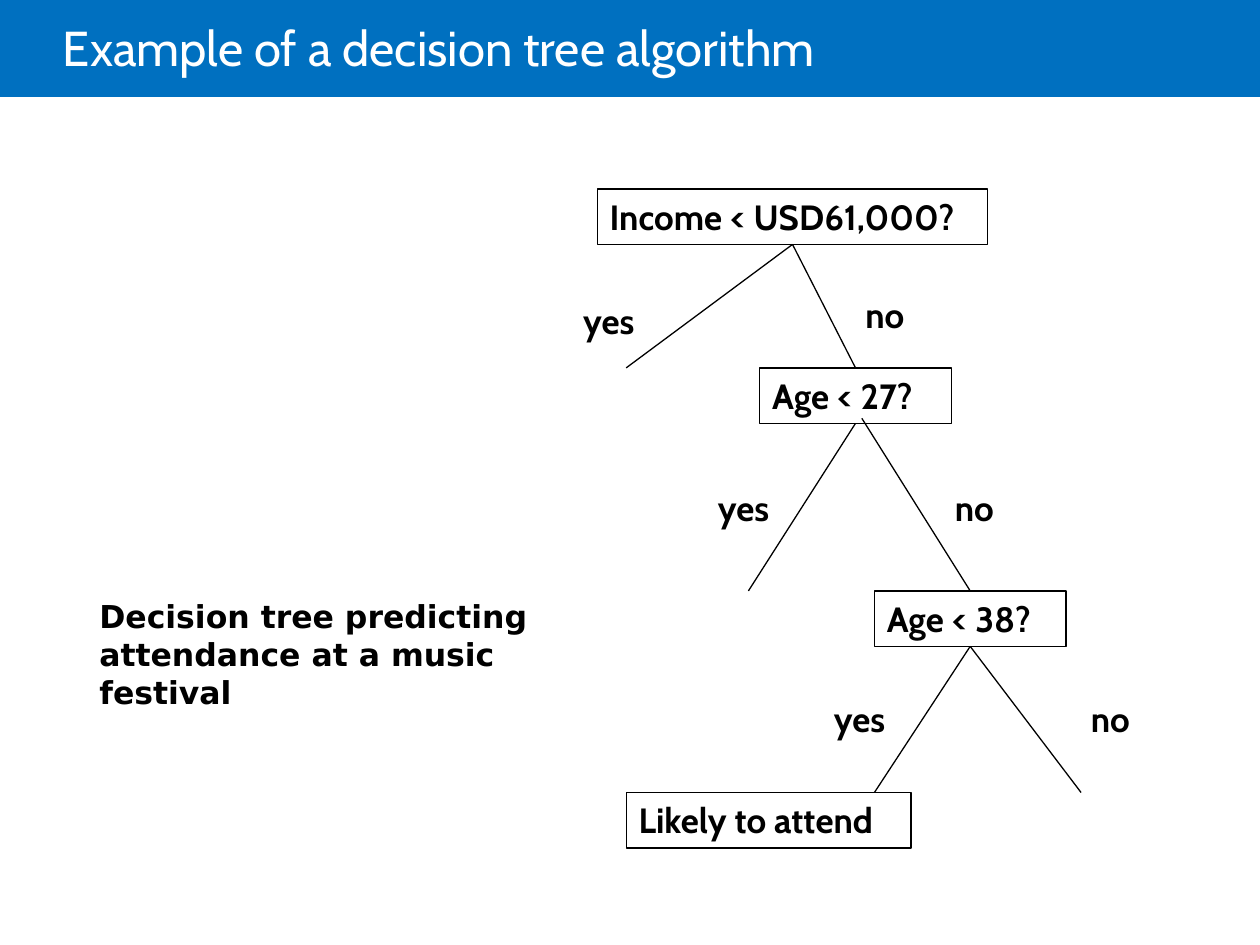
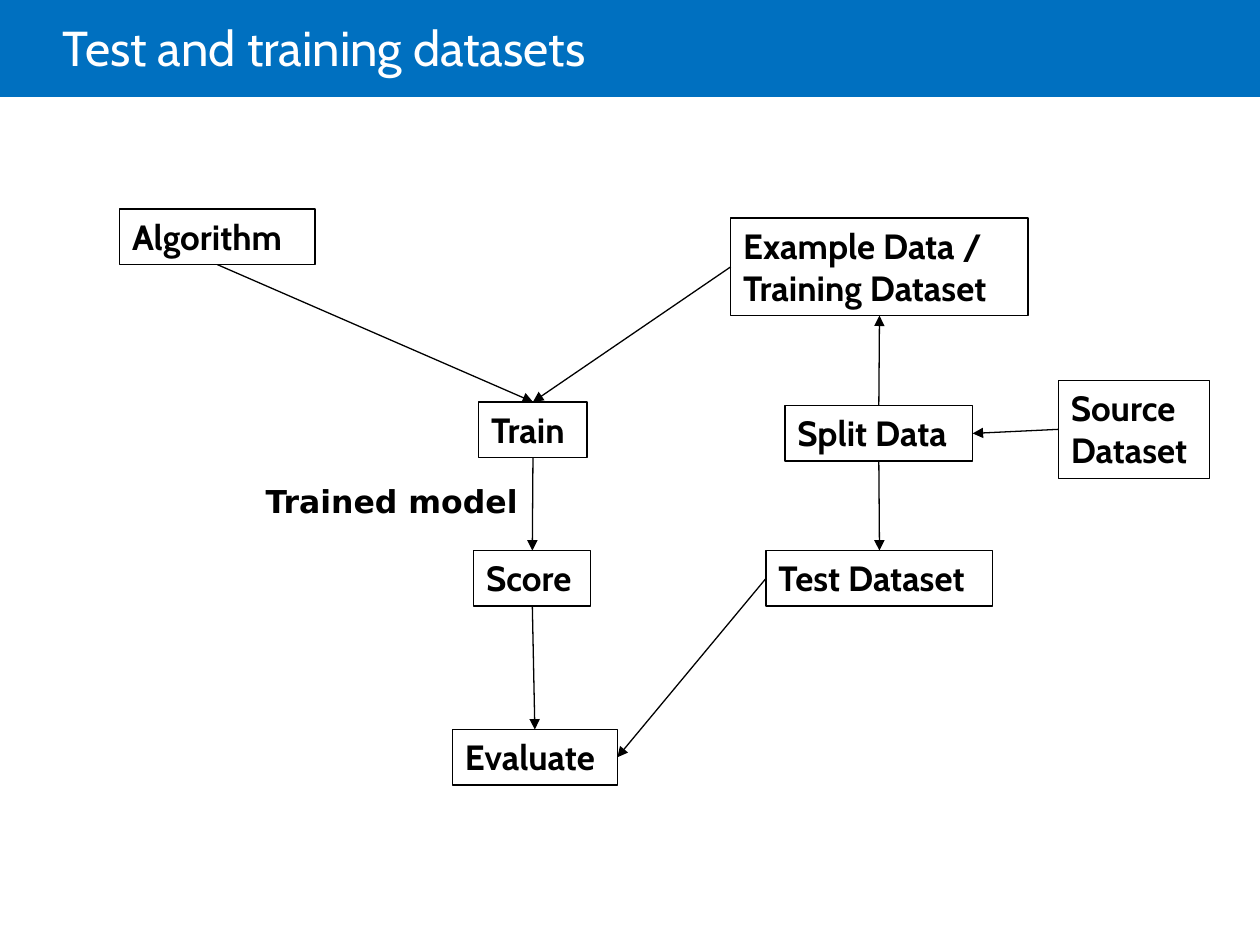
from lxml.etree import SubElement
from pptx import Presentation
from pptx.dml.color import RGBColor
from pptx.enum.shapes import MSO_CONNECTOR, MSO_SHAPE
from pptx.enum.text import MSO_ANCHOR, PP_ALIGN
from pptx.oxml.ns import qn
from pptx.util import Inches, Pt

COLORS = {"band": "0070C0", "title": "FFFFFF", "ink": "000000"}
LABEL_FONT, CAPTION_FONT = "Cabin", "DejaVu Sans"
COLUMNS, ROWS = 100, 75
LINE_ROWS, EXTRA_LINE_ROWS = 4.4, 3.35
TOP, LEFT, BOTTOM, RIGHT = range(4)


def color(name):
    return RGBColor.from_string(COLORS[name])


def is_point(target):
    return isinstance(target[0], (int, float))


class Deck:
    def __init__(self):
        self.presentation = Presentation()
        self.presentation.slide_width = Inches(10)
        self.presentation.slide_height = Inches(7.5)
        self.slide = None

    def x(self, columns):
        return round(self.presentation.slide_width * columns / COLUMNS)

    def y(self, rows):
        return round(self.presentation.slide_height * rows / ROWS)

    def area(self, column, row, columns, rows):
        return self.x(column), self.y(row), self.x(columns), self.y(rows)

    def set_text(self, shape, text, font=LABEL_FONT, size=20, bold=True, ink="ink"):
        frame = shape.text_frame
        frame.word_wrap = True
        frame.text = text
        for paragraph in frame.paragraphs:
            paragraph.alignment = PP_ALIGN.LEFT
            for run in paragraph.runs:
                run.font.name = font
                run.font.size = Pt(size)
                run.font.bold = bold
                run.font.color.rgb = color(ink)
        return frame

    def rectangle(self, *area):
        shape = self.slide.shapes.add_shape(MSO_SHAPE.RECTANGLE, *self.area(*area))
        shape.shadow.inherit = False
        return shape

    def add_slide(self, title):
        self.slide = self.presentation.slides.add_slide(self.presentation.slide_layouts[6])
        band = self.rectangle(0, 0, COLUMNS, 7.7)
        band.fill.solid()
        band.fill.fore_color.rgb = color("band")
        band.line.fill.background()
        box = self.slide.shapes.add_textbox(*self.area(5, 0, 85, 8.1))
        frame = self.set_text(box, title, size=28, bold=False, ink="title")
        frame.margin_left = 0
        frame.vertical_anchor = MSO_ANCHOR.MIDDLE
        frame.paragraphs[0].line_spacing = 0.85

    def node(self, text, column, row, columns):
        rows = LINE_ROWS + EXTRA_LINE_ROWS * text.count("\n")
        shape = self.rectangle(column, row, columns, rows)
        shape.fill.background()
        shape.line.color.rgb = color("ink")
        shape.line.width = Pt(0.75)
        self.set_text(shape, text).vertical_anchor = MSO_ANCHOR.TOP
        return shape

    def label(self, text, column, row, columns, rows=LINE_ROWS, **style):
        box = self.slide.shapes.add_textbox(*self.area(column, row, columns, rows))
        self.set_text(box, text, **style)

    def caption(self, text, column, row, columns, rows):
        self.label(text, column, row, columns, rows, font=CAPTION_FONT, size=18)

    def link(self, start, end, arrow=False):
        points = [target if is_point(target) else (0, 0) for target in (start, end)]
        corners = [length for column, row in points for length in (self.x(column), self.y(row))]
        connector = self.slide.shapes.add_connector(MSO_CONNECTOR.STRAIGHT, *corners)
        for target, join in ((start, connector.begin_connect), (end, connector.end_connect)):
            if not is_point(target):
                join(*target)
        connector.line.color.rgb = color("ink")
        connector.line.width = Pt(0.75)
        properties = connector.element.spPr
        if arrow:
            SubElement(properties.find(qn("a:ln")), qn("a:tailEnd"), type="triangle")
        SubElement(properties, qn("a:effectLst"))


def build_decision_tree(deck):
    deck.add_slide("Example of a decision tree algorithm")
    income = deck.node("Income < USD61,000?", 47.4, 15, 31)
    age_27 = deck.node("Age < 27?", 60.3, 29.2, 15.2)
    age_38 = deck.node("Age < 38?", 69.4, 46.9, 15.2)
    deck.node("Likely to attend", 49.7, 62.9, 22.6)

    branches = [
        ((income, BOTTOM), (49.7, 29.2)),
        ((income, BOTTOM), (age_27, TOP)),
        ((age_27, BOTTOM), (59.4, 46.9)),
        ((68.4, 33.2), (age_38, TOP)),
        ((age_38, BOTTOM), (69.4, 62.9)),
        ((age_38, BOTTOM), (85.8, 62.9)),
    ]
    for start, end in branches:
        deck.link(start, end)

    answers = [(45.3, 23.3, 67.7, 22.8), (56, 38.1, 74.8, 38.1), (65.2, 54.9, 85.6, 54.9)]
    for yes_column, yes_row, no_column, no_row in answers:
        deck.label("yes", yes_column, yes_row, 6.3)
        deck.label("no", no_column, no_row, 5.4)

    deck.caption("Decision tree predicting\nattendance at a music festival", 6.9, 46.9, 44.7, 7.1)


def build_datasets(deck):
    deck.add_slide("Test and training datasets")
    algorithm = deck.node("Algorithm", 9.5, 16.6, 15.5)
    training = deck.node("Example Data /\nTraining Dataset", 58, 17.3, 23.6)
    train = deck.node("Train", 38, 31.9, 8.6)
    score = deck.node("Score", 37.6, 43.7, 9.3)
    evaluate = deck.node("Evaluate", 35.9, 57.9, 13.1)
    split = deck.node("Split Data", 62.3, 32.2, 14.9)
    test = deck.node("Test Dataset", 60.8, 43.7, 18)
    source = deck.node("Source\nDataset", 84, 30.2, 12)

    flows = [
        (algorithm, BOTTOM, train, TOP),
        (training, LEFT, train, TOP),
        (split, TOP, training, BOTTOM),
        (split, BOTTOM, test, TOP),
        (source, LEFT, split, RIGHT),
        (test, LEFT, evaluate, RIGHT),
        (train, BOTTOM, score, TOP),
        (score, BOTTOM, evaluate, TOP),
    ]
    for origin, exit_side, target, entry_side in flows:
        deck.link((origin, exit_side), (target, entry_side), arrow=True)

    deck.caption("Trained model", 20.1, 37.8, 22.4, 4)


def main():
    deck = Deck()
    build_decision_tree(deck)
    build_datasets(deck)
    deck.presentation.save("out.pptx")


if __name__ == "__main__":
    main()
